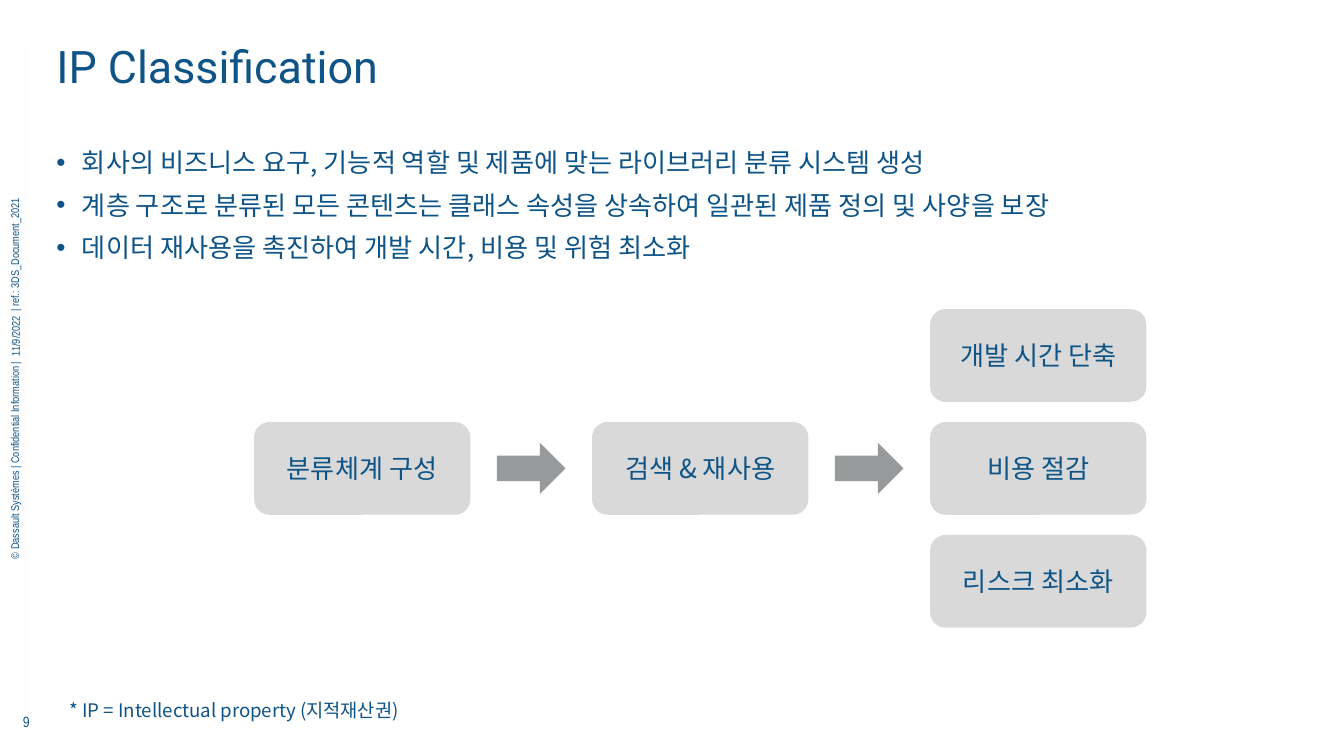
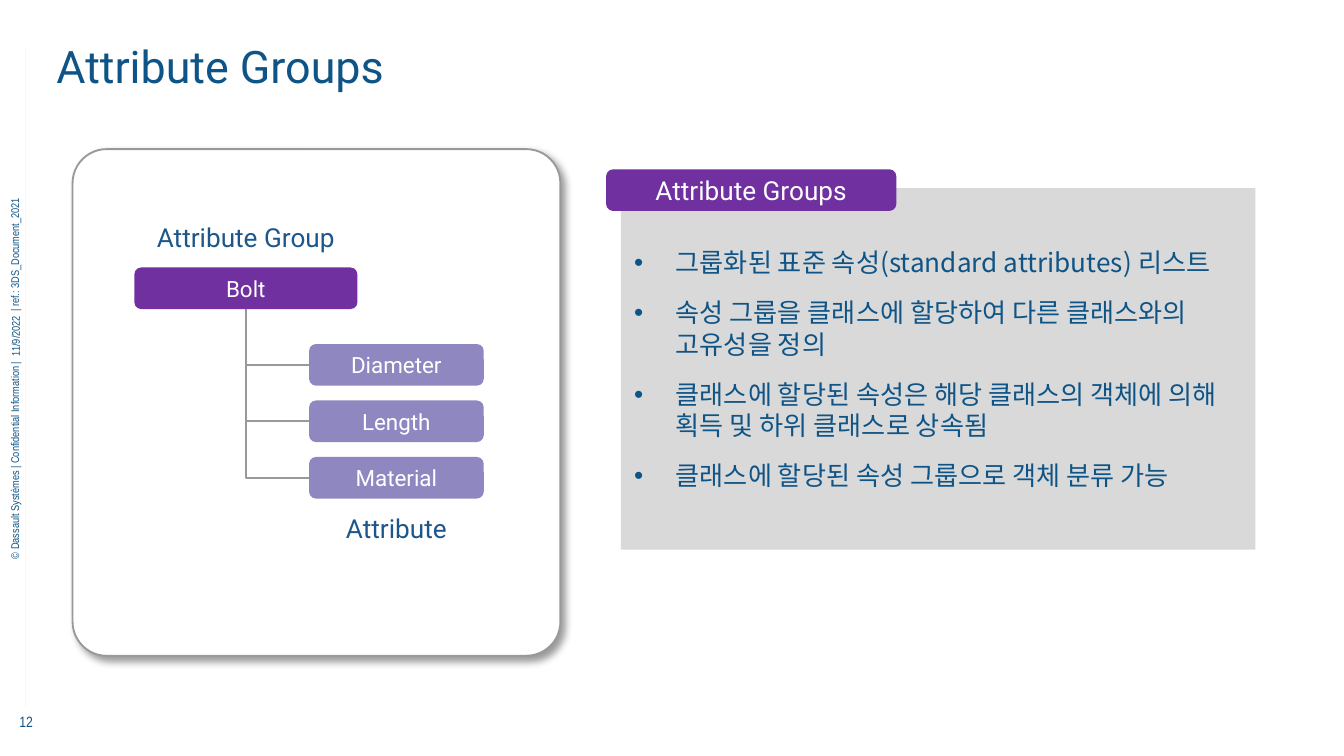
from dataclasses import dataclass

from pptx import Presentation
from pptx import util as u
from pptx.dml.color import RGBColor
from pptx.enum import shapes, text
from pptx.oxml import parse_xml
from pptx.oxml.ns import nsdecls, qn
from lxml import etree


@dataclass(frozen=True)
class Theme:
    navy: str = "0F5486"
    label: str = "1C568B"
    white: str = "FFFFFF"
    pale: str = "D9D9D9"
    grey: str = "97999B"
    purple: str = "7030A0"
    lilac: str = "8F87C0"
    heading_font: str = "Roboto"
    korean_font: str = "Noto Sans CJK KR"
    margin_font: str = "Arial Narrow"
    title: int = 24
    body: int = 14
    node: int = 12
    note: int = 10
    number: int = 8
    legal: int = 6


THEME = Theme()
ROUNDED = shapes.MSO_SHAPE.ROUNDED_RECTANGLE
LEFT, CENTER = text.PP_ALIGN.LEFT, text.PP_ALIGN.CENTER
TOP, MIDDLE, BOTTOM = (text.MSO_ANCHOR.TOP, text.MSO_ANCHOR.MIDDLE,
                       text.MSO_ANCHOR.BOTTOM)
DATE = "11/9/2022"


def rgb(value):
    return RGBColor.from_string(value)


def inches(*values):
    return [u.Inches(value) for value in values]


# Shared building parts

def write(box, lines, size, font, color=THEME.navy, align=CENTER,
          anchor=MIDDLE, inset=True):
    """Fill a box with one paragraph per line and format its runs."""
    frame = box.text_frame
    frame.text = "\n".join(lines)
    frame.word_wrap = True
    frame.vertical_anchor = anchor
    if not inset:
        frame.margin_left = frame.margin_right = 0
        frame.margin_top = frame.margin_bottom = 0
    for para in frame.paragraphs:
        para.alignment = align
        for span in para.runs:
            span.font.size = u.Pt(size)
            span.font.name = font
            span.font.color.rgb = rgb(color)
            east_asian = etree.SubElement(span.font._element, qn("a:ea"))
            east_asian.set("typeface", font)


def add_text(page, place, lines, size, font, **style):
    box = page.shapes.add_textbox(*inches(*place))
    write(box, lines, size, font, **style)
    return box


def add_block(page, kind, place, fill, line=None):
    block = page.shapes.add_shape(kind, *inches(*place))
    block.shadow.inherit = False
    block.fill.solid()
    block.fill.fore_color.rgb = rgb(fill)
    if line:
        block.line.color.rgb = rgb(line)
        block.line.width = u.Pt(1)
    else:
        block.line.fill.background()
    return block


def add_line(page, kind, start, end, color, width):
    line = page.shapes.add_connector(kind, *inches(*start, *end))
    line.line.color.rgb = rgb(color)
    line.line.width = u.Pt(width)
    etree.SubElement(line._element.spPr, qn("a:effectLst"))
    return line


def add_bullets(box, indent, before=0, after=0):
    for index, para in enumerate(box.text_frame.paragraphs):
        para.space_before = u.Pt(before if index else 0)
        para.space_after = u.Pt(after)
        properties = para._p.get_or_add_pPr()
        properties.set("marL", str(u.Inches(indent)))
        properties.set("indent", str(-u.Inches(indent)))
        properties.append(parse_xml(
            f'<a:buClr {nsdecls("a")}><a:srgbClr val="{THEME.navy}"/></a:buClr>'))
        properties.append(parse_xml(
            f'<a:buFont {nsdecls("a")} typeface="Arial"/>'))
        properties.append(parse_xml(f'<a:buChar {nsdecls("a")} char="•"/>'))


def add_frame(deck, title, number):
    """Start a page with its title, margin rule, legal line and number."""
    page = deck.slides.add_slide(deck.slide_layouts[6])
    add_text(page, (0, 5.3, 0.39, 0.13), [number], THEME.number,
             THEME.margin_font, anchor=TOP, inset=False)
    rule = add_line(page, shapes.MSO_CONNECTOR.STRAIGHT, (0.19, 0.35),
                    (0.19, 5.27), THEME.navy, 0.2)
    # The rule is almost transparent
    ink = next(rule._element.spPr.iter(qn("a:srgbClr")))
    etree.SubElement(ink, qn("a:alpha"), val="10000")
    # The tab leaves room for the date in the legal line
    legal = add_text(
        page, (-1.24, 2.76, 2.7, 0.1),
        ["© Dassault Systèmes | Confidential Information |\t"
         "| ref.: 3DS_Document_2021"],
        THEME.legal, THEME.margin_font, align=LEFT, inset=False)
    legal.text_frame.paragraphs[0]._p.get_or_add_pPr().append(parse_xml(
        f'<a:tabLst {nsdecls("a")}>'
        f'<a:tab pos="{u.Inches(1.84)}" algn="l"/></a:tabLst>'))
    date = add_text(page, (-0.08, 2.45, 0.39, 0.1), [DATE], THEME.legal,
                    THEME.margin_font, inset=False)
    legal.rotation = date.rotation = 270
    add_text(page, (0.42, 0.29, 8.97, 0.4), [title], THEME.title,
             THEME.heading_font, align=LEFT, anchor=BOTTOM, inset=False)
    return page


# Classification page

def draw_flow(page, left, top):
    """Three columns of cards, the last one stacked, joined by arrows."""
    card_width, card_height = 1.61, 0.69
    column_step, row_step = 2.515, 0.84
    arrow_width, arrow_height = 0.51, 0.38
    columns = [
        {1: "분류체계 구성"},
        {1: "검색 & 재사용"},
        {0: "개발 시간 단축", 1: "비용 절감", 2: "리스크 최소화"},
    ]
    for column, cards in enumerate(columns):
        x = left + column * column_step
        for row, caption in cards.items():
            card = add_block(
                page, ROUNDED,
                (x, top + row * row_step, card_width, card_height), THEME.pale)
            write(card, [caption], THEME.body, THEME.korean_font)
        if column:
            gap = column_step - card_width
            add_block(page, shapes.MSO_SHAPE.RIGHT_ARROW,
                      (x - (gap + arrow_width) / 2,
                       top + row_step + (card_height - arrow_height) / 2,
                       arrow_width, arrow_height), THEME.grey)


def build_classification(deck):
    page = add_frame(deck, "IP Classification", "9")
    points = add_text(page, (0.42, 1.09, 8.97, 0.91), [
        "회사의 비즈니스 요구, 기능적 역할 및 제품에 맞는 라이브러리 분류 시스템 생성",
        "계층 구조로 분류된 모든 콘텐츠는 클래스 속성을 상속하여 일관된 제품 정의 및 사양을 보장",
        "데이터 재사용을 촉진하여 개발 시간, 비용 및 위험 최소화",
    ], THEME.body, THEME.korean_font, align=LEFT, anchor=TOP, inset=False)
    add_bullets(points, 0.19, after=6)
    add_text(page, (0.42, 5.15, 2.69, 0.27),
             ["* IP = Intellectual property (지적재산권)"],
             THEME.note, THEME.korean_font, align=LEFT, anchor=TOP)
    draw_flow(page, 1.89, 2.3)


# Attribute groups page

def draw_tree(page, left, top, width, height):
    """Card with a parent node and its attributes hanging from it."""
    card = add_block(page, ROUNDED, (left, top, width, height),
                     THEME.white, THEME.grey)
    card.adjustments[0] = 0.07
    effects = card._element.spPr.find(qn("a:effectLst"))
    effects.append(parse_xml(
        f'<a:outerShdw {nsdecls("a")} blurRad="{u.Pt(4)}" dist="{u.Pt(3)}" '
        f'dir="{45 * 60000}" algn="tl" rotWithShape="0">'
        '<a:srgbClr val="000000"><a:alpha val="40000"/></a:srgbClr>'
        '</a:outerShdw>'))

    node_height, label_height, step = 0.31, 0.34, 0.42
    parent_x, parent_y, parent_width = left + 0.46, top + 0.88, 1.66
    child_x, child_y, child_width = left + 1.76, top + 1.45, 1.3
    nodes = [("Bolt", parent_x, parent_y, parent_width, THEME.purple)]
    nodes += [(name, child_x, child_y + index * step, child_width, THEME.lilac)
              for index, name in enumerate(("Diameter", "Length", "Material"))]

    # Elbows drop from the parent, then turn towards each child
    for _, x, y, _, _ in nodes[1:]:
        elbow = add_line(page, shapes.MSO_CONNECTOR.ELBOW,
                         (parent_x + parent_width / 2, parent_y + node_height),
                         (x, y + node_height / 2), THEME.grey, 1)
        guides = elbow._element.spPr.find(qn("a:prstGeom")).find(qn("a:avLst"))
        etree.SubElement(guides, qn("a:gd"), name="adj1", fmla="val 0")

    for name, x, y, node_width, fill in nodes:
        node = add_block(page, ROUNDED, (x, y, node_width, node_height), fill)
        write(node, [name], THEME.node, THEME.heading_font, THEME.white)

    labels = [("Attribute Group", parent_x, top + 0.49, parent_width),
              ("Attribute", child_x, top + 2.65, child_width)]
    for caption, x, y, label_width in labels:
        add_text(page, (x, y, label_width, label_height), [caption],
                 THEME.body, THEME.heading_font, color=THEME.label, anchor=TOP)


def draw_panel(page, left, top, width, height, heading, points):
    """Grey panel of bullets with a heading tab over its top left corner."""
    panel = add_block(page, shapes.MSO_SHAPE.RECTANGLE,
                      (left, top, width, height), THEME.pale)
    write(panel, points, THEME.body, THEME.korean_font, align=LEFT)
    add_bullets(panel, 0.31, before=10)
    tab = add_block(page, ROUNDED, (left - 0.11, top - 0.14, 2.16, 0.31),
                    THEME.purple)
    write(tab, [heading], THEME.body, THEME.heading_font, THEME.white)


def build_attribute_groups(deck):
    page = add_frame(deck, "Attribute Groups", "12")
    draw_tree(page, 0.54, 1.11, 3.63, 3.77)
    draw_panel(page, 4.62, 1.4, 4.72, 2.69, "Attribute Groups", [
        "그룹화된 표준 속성(standard attributes) 리스트",
        "속성 그룹을 클래스에 할당하여 다른 클래스와의\v고유성을 정의",
        "클래스에 할당된 속성은 해당 클래스의 객체에 의해 획득 및 하위 클래스로 상속됨",
        "클래스에 할당된 속성 그룹으로 객체 분류 가능",
    ])


def main():
    deck = Presentation()
    # Widescreen, 16 to 9
    deck.slide_width = u.Inches(10)
    deck.slide_height = deck.slide_width * 9 // 16
    build_classification(deck)
    build_attribute_groups(deck)
    deck.save("out.pptx")


if __name__ == "__main__":
    main()
